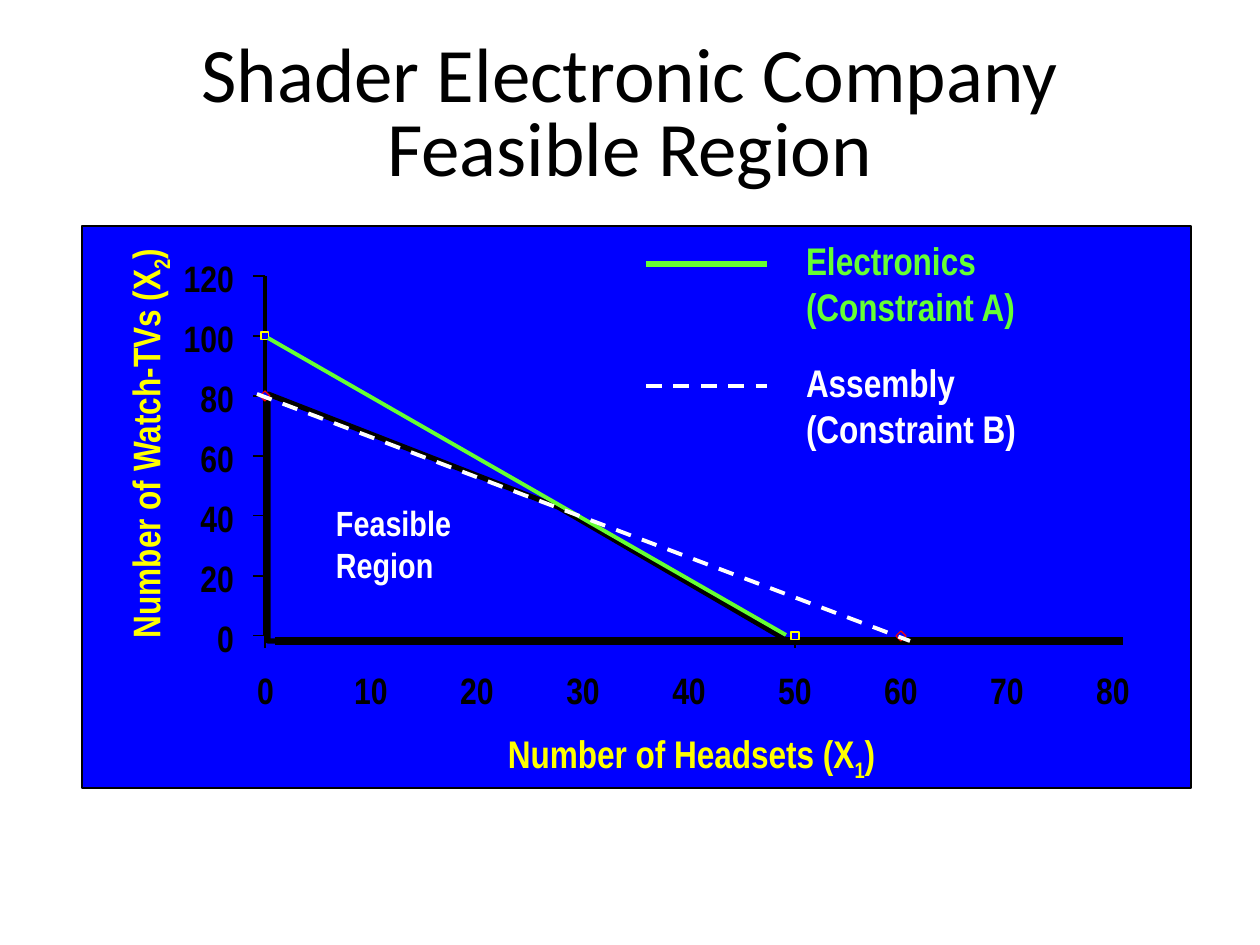
from lxml import etree
from pptx import Presentation
from pptx.dml.color import RGBColor
from pptx.enum.dml import MSO_LINE
from pptx.enum.shapes import MSO_CONNECTOR, MSO_SHAPE
from pptx.enum.text import MSO_ANCHOR, PP_ALIGN
from pptx.oxml.ns import qn
from pptx.util import Pt

STRAIGHT = MSO_CONNECTOR.STRAIGHT
DASH = MSO_LINE.DASH
RECTANGLE, DIAMOND = MSO_SHAPE.RECTANGLE, MSO_SHAPE.DIAMOND
LEFT, CENTER, RIGHT = PP_ALIGN.LEFT, PP_ALIGN.CENTER, PP_ALIGN.RIGHT
TOP, MIDDLE = MSO_ANCHOR.TOP, MSO_ANCHOR.MIDDLE

EMU_PER_PX = 914400 / 126
BLUE, BLACK, WHITE = "0000FF", "000000", "FFFFFF"
GREEN, YELLOW, RED = "66FF33", "FFFF00", "FF0000"
AXIS_TITLE = {"name": "Arial Narrow", "size": Pt(22), "bold": True}
TICK_LABEL = {"name": "Arial Narrow", "size": Pt(21), "bold": True}
REGION_LABEL = {"name": "Arial Narrow", "size": Pt(20), "bold": True}
TITLE = {"name": "Calibri", "size": Pt(44)}

# Plot geometry in px, relative to the chart panel
ORIGIN_X, ORIGIN_Y = 183, 410
X_STEP, Y_STEP = 106, 60
X_TICKS = range(0, 90, 10)
Y_TICKS = range(0, 140, 20)
DIGIT_WIDTH, LABEL_HEIGHT = 17, 44


def px(length):
    return round(length * EMU_PER_PX)


def color(hex_string):
    return RGBColor.from_string(hex_string)


def plot_point(x, y):
    """Turn data values into px within the panel."""
    return ORIGIN_X + x * X_STEP // 10, ORIGIN_Y - y * Y_STEP // 20


def style_line(line, hex_string, width, dash=None):
    line.color.rgb = color(hex_string)
    line.width = Pt(width)
    if dash:
        line.dash_style = dash


class Panel:
    """Draws parts relative to the top left corner of a box."""

    def __init__(self, shapes, left, top):
        self.shapes, self.left, self.top = shapes, left, top

    def line(self, start, end, hex_string, width, dash=None):
        connector = self.shapes.add_connector(
            STRAIGHT,
            px(self.left + start[0]), px(self.top + start[1]),
            px(self.left + end[0]), px(self.top + end[1]))
        style_line(connector.line, hex_string, width, dash)
        etree.SubElement(connector._element.spPr, qn("a:effectLst"))

    def shape(self, kind, left, top, width, height, outline=None, weight=0.62):
        shape = self.shapes.add_shape(
            kind, px(self.left + left), px(self.top + top), px(width), px(height))
        shape.shadow.inherit = False
        shape.fill.solid()
        shape.fill.fore_color.rgb = color(BLUE)
        if outline:
            style_line(shape.line, outline, weight)
        else:
            shape.line.fill.background()
        return shape

    def polygon(self, points, outline, weight):
        corners = [(px(self.left + x), px(self.top + y)) for x, y in points]
        builder = self.shapes.build_freeform(*corners[0])
        builder.add_line_segments(corners[1:], close=True)
        shape = builder.convert_to_shape()
        shape.shadow.inherit = False
        shape.fill.solid()
        shape.fill.fore_color.rgb = color(BLUE)
        style_line(shape.line, outline, weight)

    def label(self, box, lines, font, hex_string, align=CENTER, wrap=False, inset=(0, 0)):
        shape = self.shape(RECTANGLE, *box)
        write(shape.text_frame, lines, font, hex_string, align, wrap, inset)
        return shape


def write(frame, lines, font, hex_string, align, wrap, inset, anchor=TOP):
    """Fill a frame; a line is a list of (text, is_subscript) or a string."""
    frame.word_wrap = wrap
    frame.vertical_anchor = anchor
    frame.margin_left = frame.margin_right = px(inset[0])
    frame.margin_top = frame.margin_bottom = px(inset[1])
    for index, line in enumerate(lines):
        para = frame.add_paragraph() if index else frame.paragraphs[0]
        para.alignment = align
        for text, is_subscript in [(line, False)] if isinstance(line, str) else line:
            span = para.add_run()
            span.text = text
            for name, value in font.items():
                setattr(span.font, name, value)
            span.font.color.rgb = color(hex_string)
            if is_subscript:
                span._r.get_or_add_rPr().set("baseline", "-25000")


def add_title(page, left, top, width, height):
    box = page.shapes.add_textbox(px(left), px(top), px(width), px(height))
    write(box.text_frame, ["Shader Electronic Company Feasible Region"],
          TITLE, BLACK, CENTER, True, (13, 6), MIDDLE)
    box.text_frame.paragraphs[0].line_spacing = 0.8


def add_axes(panel):
    panel.line(plot_point(0, 120), plot_point(0, 0), BLACK, 2.25)
    for value in Y_TICKS:
        x, y = plot_point(0, value)
        panel.line((x - 12, y), (x, y), BLACK, 0.62)
    panel.line((193, 415), (1041, 415), BLACK, 4.5)
    for value in (0, 50):
        x, y = plot_point(value, 0)
        panel.line((x, y + 12), (x, y), BLACK, 0.62)


def add_markers(panel):
    markers = [(DIAMOND, 0, 80, 10, RED), (DIAMOND, 60, 0, 10, RED),
               (RECTANGLE, 0, 100, 8, YELLOW), (RECTANGLE, 50, 0, 8, YELLOW)]
    for kind, x_value, y_value, size, outline in markers:
        x, y = plot_point(x_value, y_value)
        panel.shape(kind, x - size // 2, y - size // 2, size, size, outline)


def add_axis_labels(panel):
    for value in Y_TICKS:
        width = DIGIT_WIDTH * len(str(value))
        y = plot_point(0, value)[1]
        panel.label((152 - width, y - 20, width, LABEL_HEIGHT),
                    [str(value)], TICK_LABEL, BLACK, RIGHT)
    for value in X_TICKS:
        width = DIGIT_WIDTH * len(str(value))
        x = plot_point(value, 0)[0]
        panel.label((x - width // 2, ORIGIN_Y + 32, width, LABEL_HEIGHT),
                    [str(value)], TICK_LABEL, BLACK)
    panel.label((418, 504, 383, 53),
                [[("Number of Headsets (X", False), ("1", True), (")", False)]],
                AXIS_TITLE, YELLOW)
    vertical = panel.label((-129, 191, 391, 53),
                           [[("Number of Watch-TVs (X", False), ("2", True), (")", False)]],
                           AXIS_TITLE, YELLOW)
    vertical.rotation = 270


def add_legend(panel, left, top):
    entries = [("Electronics", "A", GREEN, 3, None),
               ("Assembly", "B", WHITE, 2.25, DASH)]
    for index, (name, letter, hex_string, weight, dash) in enumerate(entries):
        y = top + index * 122
        panel.line((left, y), (left + 121, y), hex_string, weight, dash)
        panel.label((left + 147, y - 33, 236, 105), [name, f"(Constraint {letter})"],
                    AXIS_TITLE, hex_string, LEFT, True, (13, 6))


def add_chart_panel(page, left, top, width, height):
    panel = Panel(page.shapes.add_group_shape().shapes, left, top)
    panel.shape(RECTANGLE, 0, 0, width, height, BLACK, 0.75)
    panel.polygon([(186, 168), (186, 415), (706, 415), (476, 281)], BLACK, 3)
    add_axes(panel)
    add_markers(panel)
    add_axis_labels(panel)
    panel.line((186, 112), (704, 409), GREEN, 2.25)
    panel.line((175, 168), (828, 415), WHITE, 2.25, DASH)
    add_legend(panel, 564, 38)
    panel.label((241, 269, 156, 96), ["Feasible", "Region"],
                REGION_LABEL, WHITE, LEFT, True, (13, 6))


def main():
    deck = Presentation()
    deck.slide_width, deck.slide_height = px(1260), px(945)
    page = deck.slides.add_slide(deck.slide_layouts[6])
    add_title(page, 63, 38, 1134, 158)
    add_chart_panel(page, 82, 226, 1109, 562)
    deck.save("out.pptx")


if __name__ == "__main__":
    main()
